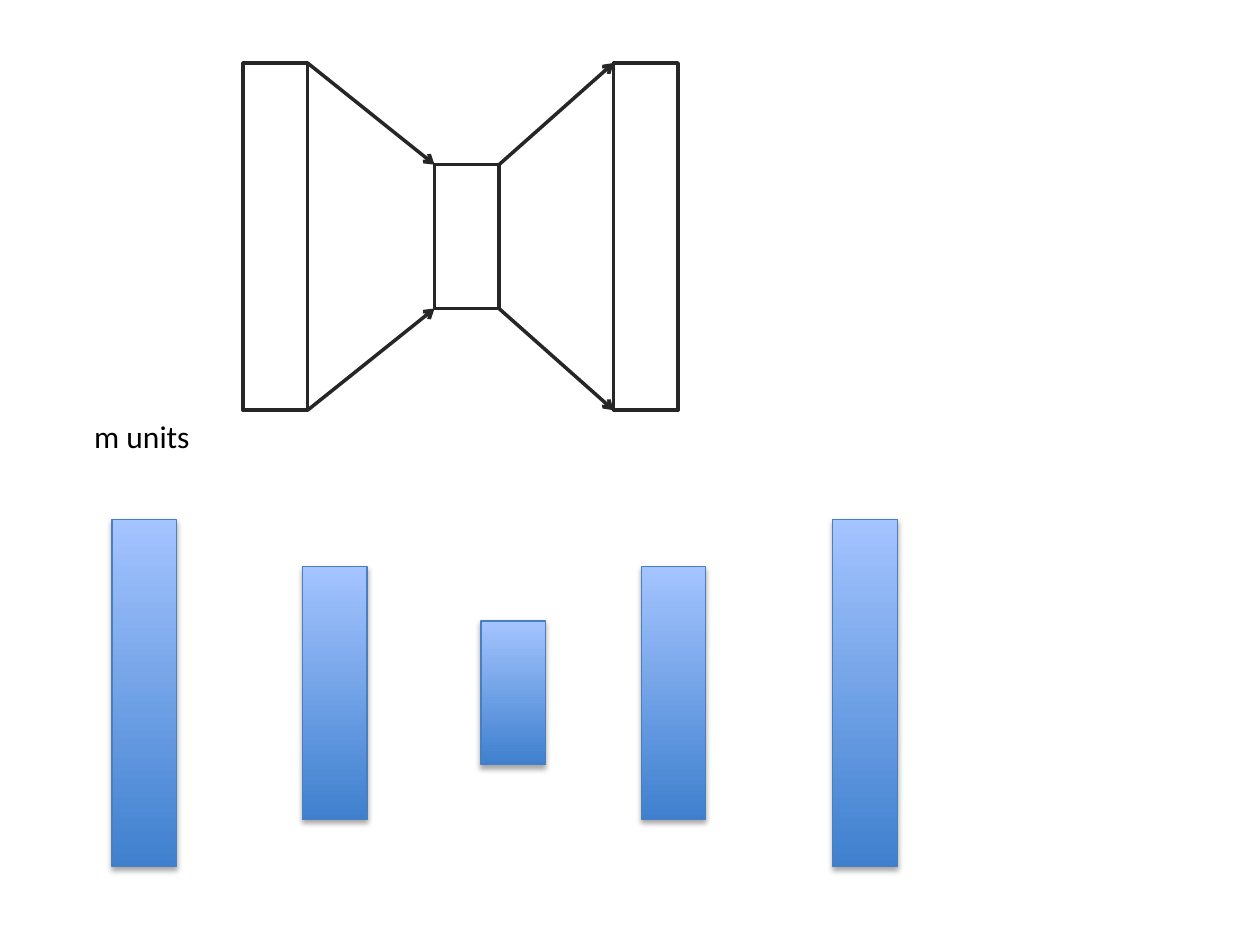
import lxml.etree
import pptx
import pptx.dml.color
import pptx.enum.shapes
import pptx.enum.text
import pptx.oxml
import pptx.oxml.ns
import pptx.util

Cm = pptx.util.Cm
Pt = pptx.util.Pt
qn = pptx.oxml.ns.qn

COLORS = {
    "ink": "262626",
    "edge": "4B7EBC",
    "deep": "3F80CE",
    "pale": "A4C4FF",
    "text": "000000",
}
BAR_W = 1.3
OUTLINE_MID = 4.77
FILLED_MID = 13.97
OUTLINE_BARS = [(4.9, 7), (8.76, 2.9), (12.37, 7)]
FILLED_BARS = [(2.26, 7), (6.1, 5.1), (9.7, 2.9), (12.93, 5.1), (16.79, 7)]


def rgb(name):
    return pptx.dml.color.RGBColor.from_string(COLORS[name])


class Deck:
    font = {"name": "Calibri", "size": Pt(18)}
    frame = {
        "word_wrap": False,
        "auto_size": pptx.enum.text.MSO_AUTO_SIZE.SHAPE_TO_FIT_TEXT,
    }
    shadow = {"blurRad": "40000", "dist": "23000", "dir": "5400000", "rotWithShape": "0"}

    def __init__(self, width, height):
        self.prs = pptx.Presentation()
        self.prs.slide_width = Cm(width)
        self.prs.slide_height = Cm(height)
        self.s = self.prs.slides.add_slide(self.prs.slide_layouts[6])

    def stroke(self, sp, color, width):
        sp.line.color.rgb = rgb(color)
        sp.line.width = Pt(width)

    def bar(self, x, mid, height, color, width):
        sp = self.s.shapes.add_shape(
            pptx.enum.shapes.MSO_SHAPE.RECTANGLE,
            Cm(x), Cm(mid - height / 2), Cm(BAR_W), Cm(height))
        sp.shadow.inherit = False
        sp.fill.background()
        self.stroke(sp, color, width)
        return sp

    def outline_bar(self, x, mid, height):
        self.bar(x, mid, height, "ink", 2)

    def filled_bar(self, x, mid, height):
        sp = self.bar(x, mid, height, "edge", 0.75)
        sp.fill.gradient()
        sp.fill.gradient_angle = 90
        for stop, color in zip(sp.fill.gradient_stops, ("deep", "pale")):
            stop.color.rgb = rgb(color)
        for stop, position in zip(sp.fill.gradient_stops, (0, 1)):
            stop.position = position
        effects = sp._element.spPr.find(qn("a:effectLst"))
        shade = lxml.etree.SubElement(effects, qn("a:outerShdw"), self.shadow)
        color = lxml.etree.SubElement(shade, qn("a:srgbClr"), val=COLORS["text"])
        lxml.etree.SubElement(color, qn("a:alpha"), val="35000")

    def arrow(self, x1, y1, x2, y2):
        sp = self.s.shapes.add_connector(
            pptx.enum.shapes.MSO_CONNECTOR.STRAIGHT, Cm(x1), Cm(y1), Cm(x2), Cm(y2))
        self.stroke(sp, "ink", 2)
        lxml.etree.SubElement(sp.line._get_or_add_ln(), qn("a:tailEnd"), type="arrow")
        lxml.etree.SubElement(sp._element.spPr, qn("a:effectLst"))

    def label(self, text, x, y, width, height):
        sp = self.s.shapes.add_textbox(Cm(x), Cm(y), Cm(width), Cm(height))
        tf = sp.text_frame
        for key, value in self.frame.items():
            setattr(tf, key, value)
        r = tf.paragraphs[0].add_run()
        r.text = text
        for key, value in self.font.items():
            setattr(r.font, key, value)
        r.font.color.rgb = rgb("text")


def main():
    deck = Deck(25.4, 19.05)
    for x, height in OUTLINE_BARS:
        deck.outline_bar(x, OUTLINE_MID, height)
    for x, height in FILLED_BARS:
        deck.filled_bar(x, FILLED_MID, height)
    deck.label("m units", 1.65, 8.28, 2.46, 1.02)
    for (x1, h1), (x2, h2) in zip(OUTLINE_BARS, OUTLINE_BARS[1:]):
        for side in (-0.5, 0.5):
            deck.arrow(x1 + BAR_W, OUTLINE_MID + side * h1, x2, OUTLINE_MID + side * h2)
    deck.prs.save("out.pptx")


if __name__ == "__main__":
    main()
